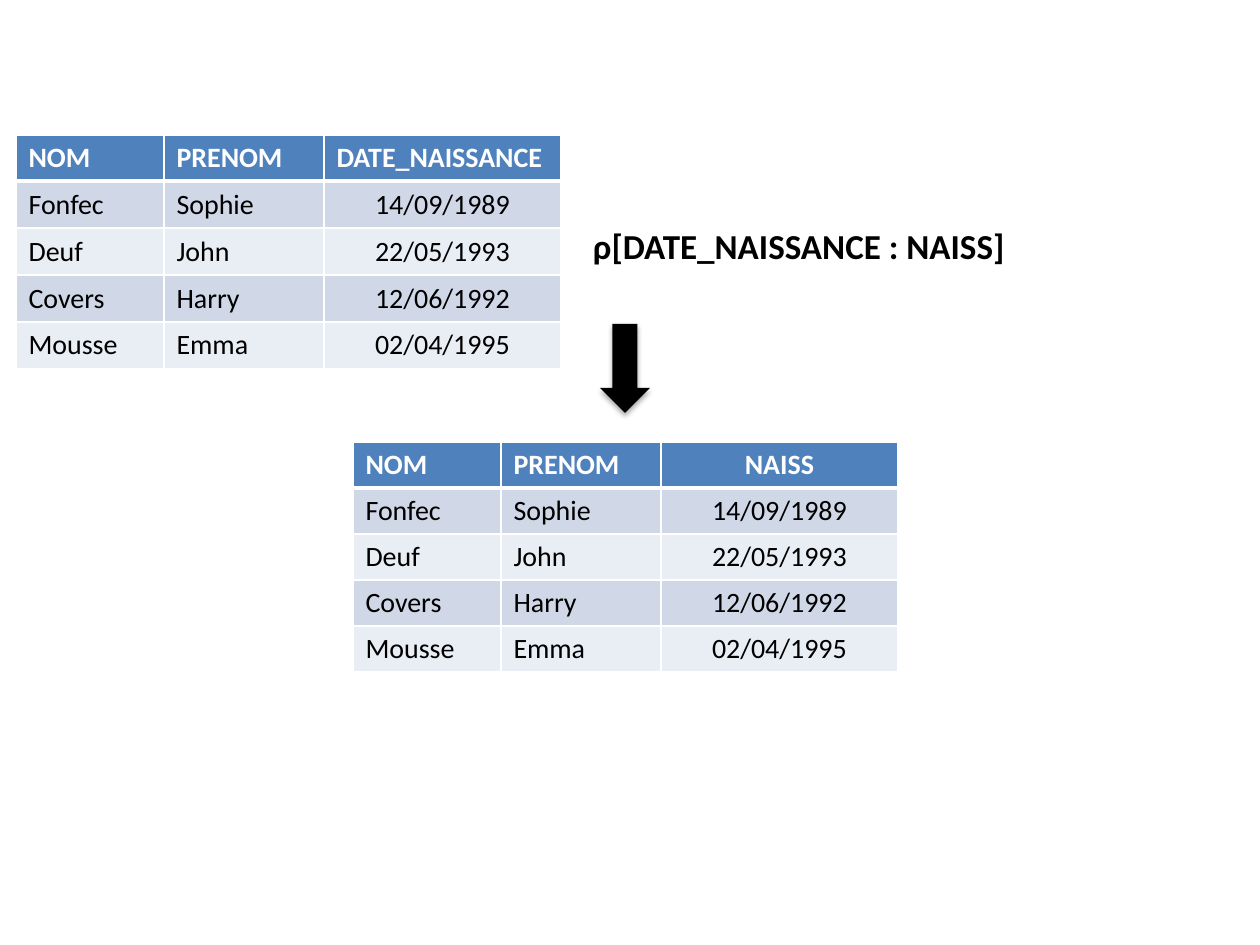
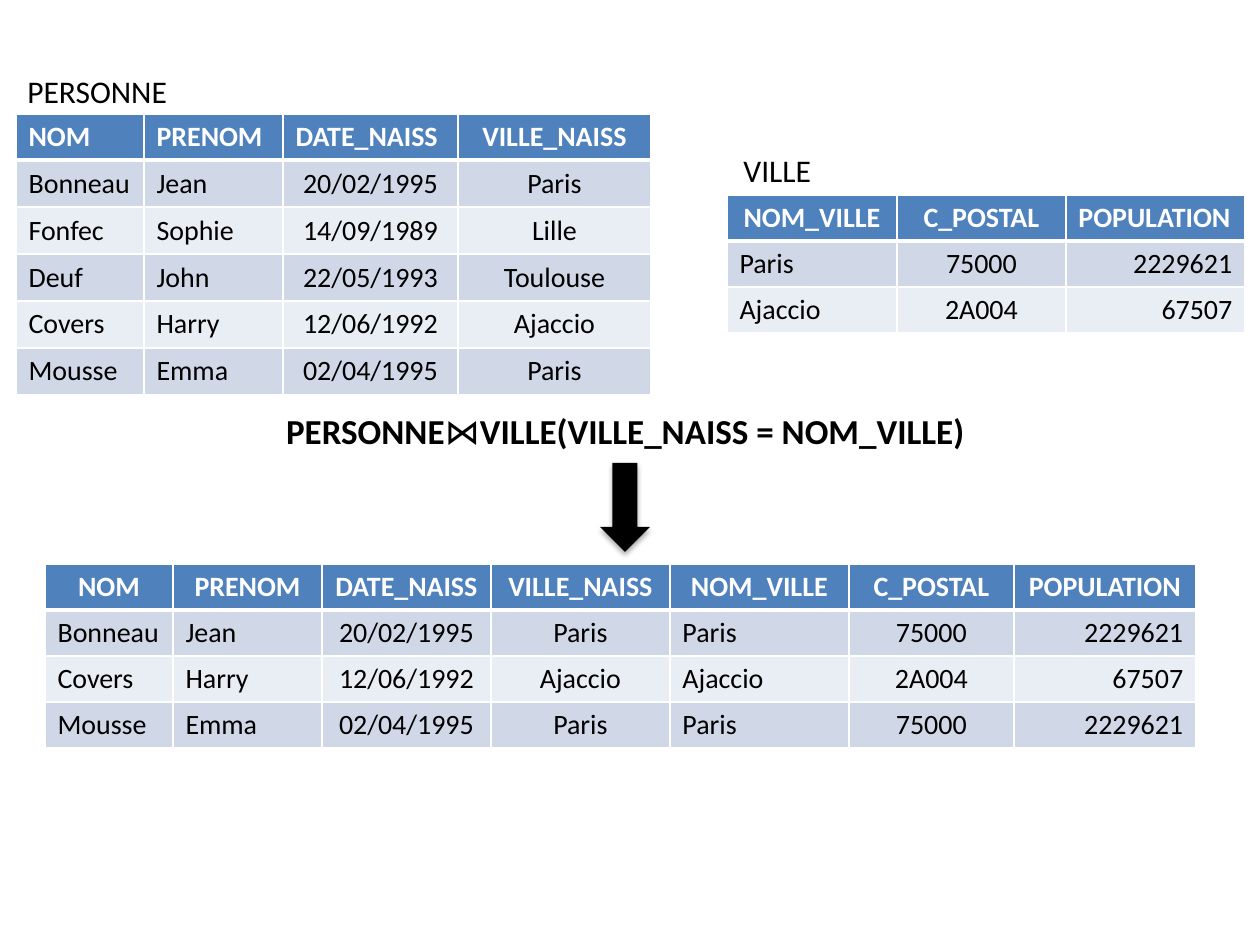
from lxml import etree
from pptx import Presentation
from pptx import util as u
from pptx.dml.color import RGBColor
from pptx.enum import shapes, text
from pptx.oxml import ns

PX = u.Inches(1) / 126
BLUE = RGBColor(0x4F, 0x81, 0xBD)
DARK = RGBColor(0xD0, 0xD8, 0xE8)
PALE = RGBColor(0xE9, 0xED, 0xF4)
WHITE = RGBColor(255, 255, 255)
BLACK = RGBColor(0, 0, 0)
FONT = "Calibri"
HEAD = {"size": u.Pt(16), "bold": True, "name": FONT}
BODY = {**HEAD, "bold": False}
RULE = {**HEAD, "size": u.Pt(20)}
SIGN = {**RULE, "bold": False}
NAME = {**BODY, "size": u.Pt(18)}
ALIGN = {"l": text.PP_ALIGN.LEFT, "c": text.PP_ALIGN.CENTER, "r": text.PP_ALIGN.RIGHT}

PEOPLE = [
    ("Bonneau", "Jean", "20/02/1995", "Paris"),
    ("Fonfec", "Sophie", "14/09/1989", "Lille"),
    ("Deuf", "John", "22/05/1993", "Toulouse"),
    ("Covers", "Harry", "12/06/1992", "Ajaccio"),
    ("Mousse", "Emma", "02/04/1995", "Paris"),
]
TOWNS = [("Paris", "75000", "2229621"), ("Ajaccio", "2A004", "67507")]
P_HEAD = ("NOM", "PRENOM", "DATE_NAISS", "VILLE_NAISS")
T_HEAD = ("NOM_VILLE", "C_POSTAL", "POPULATION")


def px(*sizes):
    """Turn lengths in px into EMU."""
    return [u.Emu(round(size * PX)) for size in sizes]


def write(par, words, look, color, side):
    """Add one run with its look to a paragraph."""
    par.alignment = ALIGN[side]
    run = par.add_run()
    run.text = words
    for key, value in look.items():
        setattr(run.font, key, value)
    run.font.color.rgb = color


def edge(cell, row):
    """Draw white cell borders, thick below the header row."""
    props = cell._tc.get_or_add_tcPr()
    thick = {0: "B", 1: "T"}.get(row)
    for spot, side in enumerate("LRTB"):
        line = etree.Element(ns.qn(f"a:ln{side}"), w=str(u.Pt(3 if side == thick else 1)))
        fill = etree.SubElement(line, ns.qn("a:solidFill"))
        etree.SubElement(fill, ns.qn("a:srgbClr"), val=str(WHITE))
        props.insert(spot, line)


def grid(slide, left, top, cols, rows, heads, sides, step=46):
    """Place a banded table, with its header and body alignments."""
    box = px(left, top, sum(cols), 46 + step * (len(rows) - 1))
    table = slide.shapes.add_table(len(rows), len(cols), *box).table
    for col, width in zip(table.columns, px(*cols)):
        col.width = width
    for r, row in enumerate(rows):
        table.rows[r].height = px(step if r else 46)[0]
        tint = (DARK if r % 2 else PALE) if r else BLUE
        for c, words in enumerate(row):
            cell = table.cell(r, c)
            cell.fill.solid()
            cell.fill.fore_color.rgb = tint
            cell.vertical_anchor = text.MSO_ANCHOR.MIDDLE
            cell.margin_top, cell.margin_bottom = px(5, 5)
            edge(cell, r)
            look, color = (BODY, BLACK) if r else (HEAD, WHITE)
            write(cell.text_frame.paragraphs[0], words, look, color, (sides if r else heads)[c])


def label(slide, box, runs, side="c", wrap=True):
    """Place a text box made of one line of runs."""
    frame = slide.shapes.add_textbox(*px(*box)).text_frame
    frame.word_wrap = wrap
    frame.auto_size = text.MSO_AUTO_SIZE.SHAPE_TO_FIT_TEXT
    for words, look in runs:
        write(frame.paragraphs[0], words, look, BLACK, side)


def arrow(slide, top):
    """Place the black down arrow with its soft shadow."""
    kind = shapes.MSO_SHAPE.DOWN_ARROW
    shape = slide.shapes.add_shape(kind, *px(600, top, 50, 89))
    shape.fill.solid()
    shape.fill.fore_color.rgb = BLACK
    shape.line.fill.background()
    shape.shadow.inherit = False
    glow = shape._element.spPr.find(ns.qn("a:effectLst"))
    soft = etree.SubElement(glow, ns.qn("a:outerShdw"), blurRad="40000", dist="23000",
                            dir="5400000", rotWithShape="0")
    tone = etree.SubElement(soft, ns.qn("a:srgbClr"), val=str(BLACK))
    etree.SubElement(tone, ns.qn("a:alpha"), val="35000")


def rename(slide):
    """Build the slide on renaming a column."""
    cols = (148, 160, 237)
    rows = [person[:3] for person in PEOPLE[1:]]
    first = P_HEAD[:2]
    grid(slide, 16, 135, cols, [first + ("DATE_NAISSANCE",)] + rows, "lll", "llc", 47)
    label(slide, (571, 218, 456, 55), [("ρ[DATE_NAISSANCE : NAISS]", RULE)])
    arrow(slide, 324)
    grid(slide, 353, 442, cols, [first + ("NAISS",)] + rows, "llc", "llc")


def join(slide):
    """Build the slide on joining two tables."""
    grid(slide, 16, 114, (128, 139, 175, 193), [P_HEAD] + PEOPLE, "lllc", "llcc", 47)
    arrow(slide, 463)
    label(slide, (258, 403, 735, 55), [
        ("PERSONNE", RULE), ("⋈", SIGN), ("VILLE(VILLE_NAISS = NOM_VILLE)", RULE)])
    grid(slide, 727, 195, (170, 169, 179), [T_HEAD] + TOWNS, "ccl", "lcr")
    label(slide, (15, 66, 166, 50), [("PERSONNE", NAME)], "l", False)
    label(slide, (731, 145, 95, 50), [("VILLE", NAME)], "l", False)
    pairs = [man + town for man in PEOPLE for town in TOWNS if man[3] == town[0]]
    cols = (128, 149, 169, 179, 179, 165, 182)
    grid(slide, 45, 564, cols, [P_HEAD + T_HEAD] + pairs, "ccccccc", "llcclcr")


def main():
    """Build both slides and save them."""
    deck = Presentation()
    deck.slide_width, deck.slide_height = px(1260, 945)
    for build in (rename, join):
        build(deck.slides.add_slide(deck.slide_layouts[6]))
    deck.save("out.pptx")


if __name__ == "__main__":
    main()
